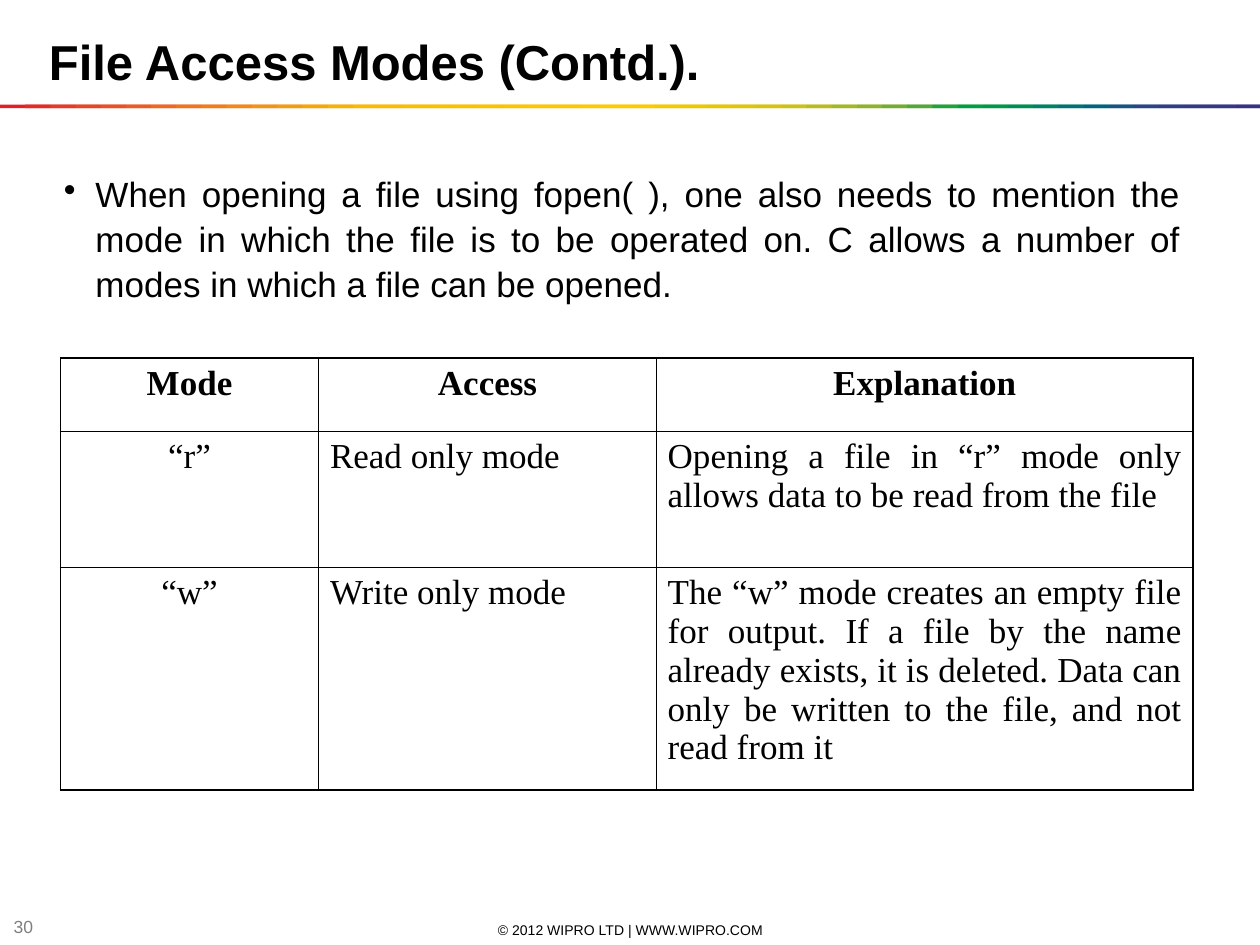
from lxml import etree
from pptx import Presentation
from pptx.dml.color import RGBColor
from pptx.enum import shapes, text
from pptx.oxml import ns
from pptx.util import Inches, Pt

BLACK = RGBColor(0, 0, 0)
GREY = RGBColor(0x7F, 0x7F, 0x7F)
SPECTRUM = [RGBColor.from_string(code) for code in """
E31E24 E42C24 E53A24 E74623 E85122 EA5D21 EC691F EE741D EF7E1A F18817
F39314 F49C0F F6A607 F8B002 FBBA00 FBBB00 FBBD00 FCBF00 FCC000 FCC200
FDC400 FDC600 FDC700 FEC900 FECB00 FBCB00 F3CA00 ECC800 E4C602 DCC50A
D5C30E CCC117 B8BC21 A3B829 8CB230 71AD36 51A73B 1DA240 009D43 009846
008C57 008068 007275 00637F 185384 2E4285 313E85 333B85 353885 393185
""".split()]

LEFT, CENTER, JUSTIFY = (text.PP_ALIGN.LEFT, text.PP_ALIGN.CENTER,
                         text.PP_ALIGN.JUSTIFY)
TOP, MIDDLE = text.MSO_ANCHOR.TOP, text.MSO_ANCHOR.MIDDLE

COLUMNS = (2.05, 2.68, 4.26)
ROWS = (0.58, 1.08, 1.77)
ALIGNMENTS = (CENTER, LEFT, JUSTIFY)
MODES = (
    ("Mode", "Access", "Explanation"),
    ("“r”", "Read only mode",
     "Opening a file in “r” mode only allows data to be read from the file"),
    ("“w”", "Write only mode",
     "The “w” mode creates an empty file for output. If a file by the name "
     "already exists, it is deleted. Data can only be written to the file, "
     "and not read from it"),
)


def format_paragraph(paragraph, size, font="Arial", color=BLACK, bold=False,
                     align=LEFT):
    """Set the alignment and font of a paragraph."""
    paragraph.alignment = align
    for span in paragraph.runs:
        span.font.name = font
        span.font.size = Pt(size)
        span.font.bold = bold
        span.font.color.rgb = color


def add_text(page, left, top, width, height, words, size, anchor=TOP, **style):
    """Add a wrapped text box and return it."""
    box = page.shapes.add_textbox(Inches(left), Inches(top),
                                  Inches(width), Inches(height))
    frame = box.text_frame
    frame.word_wrap = True
    frame.vertical_anchor = anchor
    frame.text = words
    format_paragraph(frame.paragraphs[0], size, **style)
    return box


def add_bullet(paragraph, indent):
    """Give a paragraph a round bullet with a hanging indent."""
    properties = paragraph._p.get_or_add_pPr()
    properties.set("marL", str(Inches(indent)))
    properties.set("indent", str(-Inches(indent)))
    etree.SubElement(properties, ns.qn("a:buChar")).set("char", "•")


def add_rainbow(page, top, height, step):
    """Draw overlapping colour bars across the page."""
    for index, color in enumerate(SPECTRUM):
        left = index * step
        bar = page.shapes.add_shape(
            shapes.MSO_SHAPE.RECTANGLE, Inches(left), Inches(top),
            Inches(min(2 * step, 10 - left)), Inches(height))
        bar.shadow.inherit = False
        bar.fill.solid()
        bar.fill.fore_color.rgb = color
        bar.line.fill.background()


def set_borders(cell, widths):
    """Draw the black left, right, top and bottom borders of a cell."""
    properties = cell._tc.get_or_add_tcPr()
    for index, (side, width) in enumerate(zip("LRTB", widths)):
        line = etree.Element(ns.qn(f"a:ln{side}"), w=str(Pt(width)))
        fill = etree.SubElement(line, ns.qn("a:solidFill"))
        etree.SubElement(fill, ns.qn("a:srgbClr")).set("val", str(BLACK))
        properties.insert(index, line)


def add_modes_table(page, left, top):
    """Add the table of access modes with a heavier outline."""
    table = page.shapes.add_table(
        len(ROWS), len(COLUMNS), Inches(left), Inches(top),
        Inches(sum(COLUMNS)), Inches(sum(ROWS))).table
    table.first_row = table.horz_banding = False
    for column, width in zip(table.columns, COLUMNS):
        column.width = Inches(width)
    for row, height in zip(table.rows, ROWS):
        row.height = Inches(height)
    last_row, last_column = len(ROWS) - 1, len(COLUMNS) - 1
    for i, entries in enumerate(MODES):
        for j, words in enumerate(entries):
            cell = table.cell(i, j)
            cell.text = words
            cell.fill.background()
            cell.margin_left = cell.margin_right = Inches(0.09)
            cell.margin_top = cell.margin_bottom = Inches(0.05)
            format_paragraph(cell.text_frame.paragraphs[0], 20,
                             font="Times New Roman", bold=i == 0,
                             align=CENTER if i == 0 else ALIGNMENTS[j])
            edges = (j == 0, j == last_column, i == 0, i == last_row)
            set_borders(cell, [1.08 if outer else 0.45 for outer in edges])


def main():
    """Build the slide and save it."""
    deck = Presentation()
    deck.slide_width, deck.slide_height = Inches(10), Inches(7.5)
    page = deck.slides.add_slide(deck.slide_layouts[6])
    add_text(page, 3.42, 7.3, 3.17, 0.16, "© 2012 WIPRO LTD | WWW.WIPRO.COM",
             8, anchor=MIDDLE, align=CENTER)
    add_text(page, 0.01, 7.27, 0.39, 0.16, "30", 10, anchor=MIDDLE, color=GREY)
    add_rainbow(page, 0.83, 0.03, 0.2)
    title = add_text(page, 0.29, 0.16, 9.22, 0.57,
                     "File Access Modes (Contd.).", 28, bold=True)
    title.text_frame.margin_top = Inches(0.09)
    add_modes_table(page, 0.48, 2.84)
    body = add_text(
        page, 0.41, 1.3, 9.06, 1.17,
        "When opening a file using fopen( ), one also needs to mention the "
        "mode in which the file is to be operated on. C allows a number of "
        "modes in which a file can be opened.", 20, align=JUSTIFY)
    paragraph = body.text_frame.paragraphs[0]
    paragraph.line_spacing = 1.07
    add_bullet(paragraph, 0.25)
    deck.save("out.pptx")


if __name__ == "__main__":
    main()
